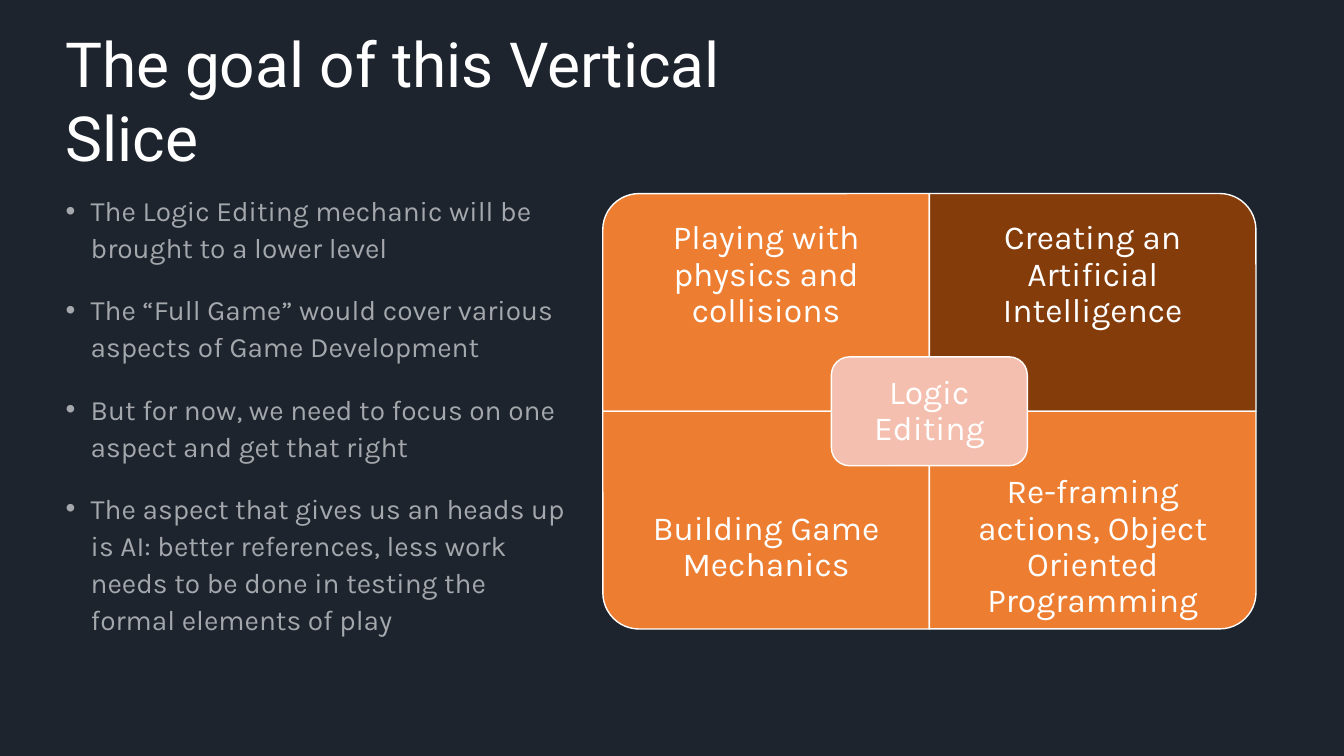
from lxml import etree
from pptx import Presentation
from pptx.dml.color import RGBColor
from pptx.enum.shapes import MSO_SHAPE
from pptx.enum.text import MSO_ANCHOR, MSO_AUTO_SIZE, PP_ALIGN
from pptx.oxml.ns import qn
from pptx.util import Inches, Pt

ROUND_ONE = MSO_SHAPE.ROUND_1_RECTANGLE
ROUND_ALL = MSO_SHAPE.ROUNDED_RECTANGLE
MIDDLE, TOP = MSO_ANCHOR.MIDDLE, MSO_ANCHOR.TOP
CENTER, LEFT = PP_ALIGN.CENTER, PP_ALIGN.LEFT
NO_FIT = MSO_AUTO_SIZE.NONE

THEME = {
    "background": RGBColor(0x1D, 0x24, 0x2E),
    "text": RGBColor(0xFF, 0xFF, 0xFF),
    "orange": RGBColor(0xED, 0x7D, 0x31),
    "brown": RGBColor(0x84, 0x3C, 0x0B),
    "pink": RGBColor(0xF4, 0xBF, 0xAE),
    "title_font": "Roboto", "title_size": Pt(44.4),
    "body_font": "Karla", "body_size": Pt(20), "matrix_size": Pt(24),
}

# Matrix grid: two columns and two rows around a shared centre
CELL_W, CELL_H = 3.24, 2.16
MATRIX_LEFT, MATRIX_TOP = 5.98, 1.92
CAPTION_H = CELL_H * 0.75


def write(holder, box, lines, font, size, align, anchor, inset, spacing):
    """Place a text holder and fill it with formatted paragraphs."""
    holder.left, holder.top, holder.width, holder.height = map(Inches, box)
    frame = holder.text_frame
    frame.text = "\n".join(lines)
    frame_format = {"word_wrap": True, "auto_size": NO_FIT, "vertical_anchor": anchor}
    frame_format |= {f"margin_{side}": Inches(inset[i % 2])
                     for i, side in enumerate(("left", "top", "right", "bottom"))}
    for key, value in frame_format.items():
        setattr(frame, key, value)
    for paragraph in frame.paragraphs:
        paragraph.alignment = align
        paragraph.line_spacing = spacing
        paragraph.space_before = paragraph.space_after = Pt(0)
        for run in paragraph.runs:
            run.font.name, run.font.size = font, size
            run.font.color.rgb = THEME["text"]
    return frame.paragraphs


def panel(kind, center, size, fill, rotation=0):
    """Draw a white-edged panel around its centre point."""
    box = [c - s / 2 for c, s in zip(center, size)] + list(size)
    tile = slide.shapes.add_shape(kind, *map(Inches, box))
    tile.shadow.inherit = False
    tile.rotation = rotation
    tile.fill.solid()
    tile.fill.fore_color.rgb = THEME[fill]
    tile.line.color.rgb = THEME["text"]
    tile.line.width = Pt(1)
    return tile


prs = Presentation()
prs.slide_width, prs.slide_height = Inches(13.333), Inches(7.5)
slide = prs.slides.add_slide(prs.slide_layouts[1])
slide.background.fill.solid()
slide.background.fill.fore_color.rgb = THEME["background"]

# Title
write(slide.shapes.title, (0.55, 0.45, 8.12, 1.08),
      ["The goal of this Vertical Slice"], THEME["title_font"],
      THEME["title_size"], LEFT, MIDDLE, (0.1, 0.05), 1.0)

# Goals list
goals = write(slide.placeholders[1], (0.55, 1.84, 5.25, 4.32), [
    "The Logic Editing mechanic will be brought to a lower level",
    "The “Full Game” would cover various aspects of Game Development",
    "But for now, we need to focus on one aspect and get that right",
    "The aspect that gives us an heads up is AI: better references, "
    "less work needs to be done in testing the formal elements of play",
], THEME["body_font"], THEME["body_size"], LEFT, TOP, (0.1, 0.05), 1.1)
for number, goal in enumerate(goals):
    goal.space_before, goal.space_after = Pt(10 if number else 0), Pt(8)
    properties = goal._p.get_or_add_pPr()
    properties.set("marL", str(Inches(0.25)))
    properties.set("indent", str(-Inches(0.25)))
    etree.SubElement(properties, qn("a:buChar")).set("char", "•")
    for color in goal._p.iter(qn("a:srgbClr")):
        etree.SubElement(color, qn("a:alpha")).set("val", "60000")

# Quadrants: each is turned so that its round corner faces outwards
quadrants = [
    (0, 0, 270, "orange", "Playing with physics and collisions"),
    (1, 0, 0, "brown", "Creating an Artificial Intelligence"),
    (0, 1, 180, "orange", "Building Game Mechanics"),
    (1, 1, 90, "orange", "Re-framing actions, Object Oriented Programming"),
]
for column, row, rotation, fill, caption in quadrants:
    left, top = MATRIX_LEFT + column * CELL_W, MATRIX_TOP + row * CELL_H
    size = (CELL_H, CELL_W) if rotation % 180 else (CELL_W, CELL_H)
    panel(ROUND_ONE, (left + CELL_W / 2, top + CELL_H / 2), size, fill, rotation)
    caption_top = top + row * (CELL_H - CAPTION_H)
    write(slide.shapes.add_textbox(0, 0, 0, 0), (left, caption_top, CELL_W, CAPTION_H),
          [caption], THEME["body_font"], THEME["matrix_size"],
          CENTER, MIDDLE, (0.19, 0.19), 0.9)

# Core of the matrix
core_w, core_h = CELL_W * 0.6, CELL_H * 0.5
core_center = MATRIX_LEFT + CELL_W, MATRIX_TOP + CELL_H
core = panel(ROUND_ALL, core_center, (core_w, core_h), "pink")
write(core, (core_center[0] - core_w / 2, core_center[1] - core_h / 2, core_w, core_h),
      ["Logic Editing"], THEME["body_font"], THEME["matrix_size"],
      CENTER, MIDDLE, (0.1, 0.1), 0.9)

prs.save("out.pptx")
